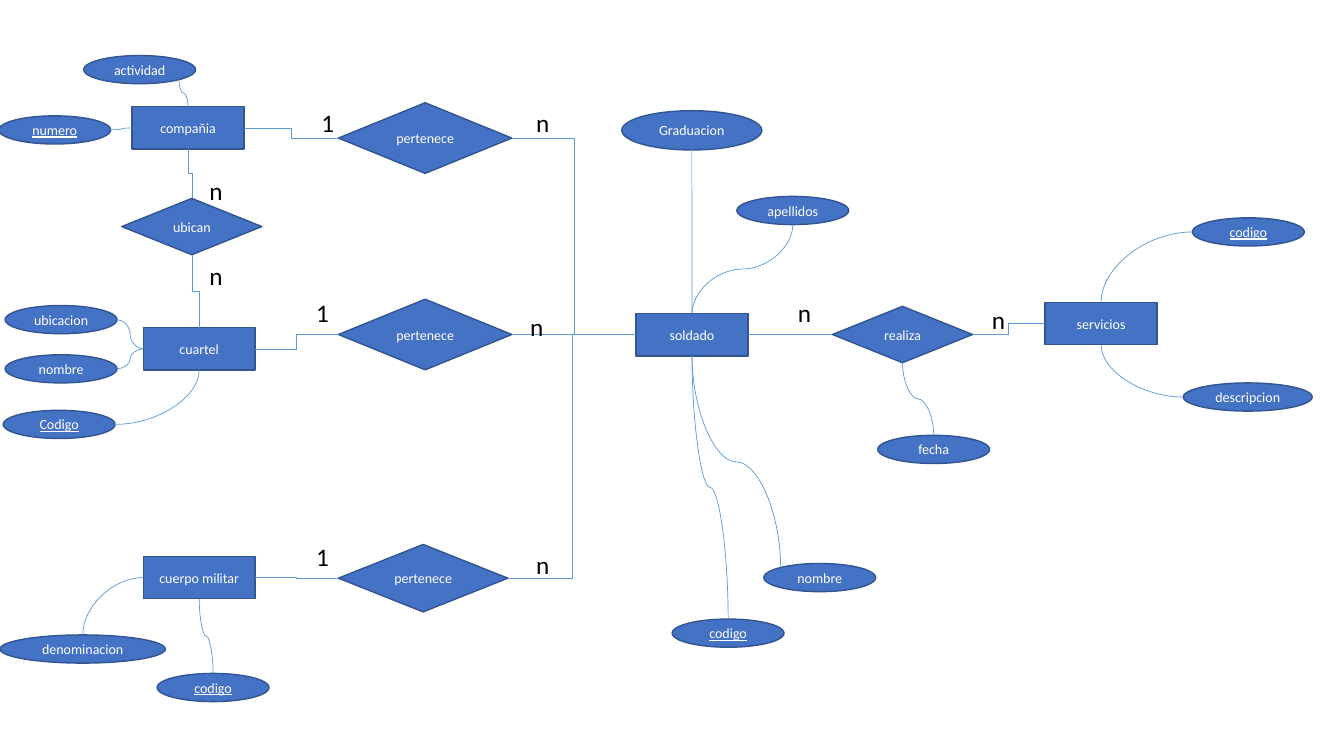
from pptx import Presentation
from pptx.dml.color import RGBColor
from pptx.enum.shapes import MSO_CONNECTOR, MSO_SHAPE
from pptx.enum.text import MSO_ANCHOR, PP_ALIGN
from pptx.oxml.ns import qn
from pptx.util import Cm, Pt
from lxml.etree import SubElement

COLORS = {"fill": "4472C4", "border": "325491", "link": "5B9BD5", "light": "FFFFFF", "dark": "000000"}
SITES = {
    "top": (0.5, 0), "top left": (0.15, 0.15), "left": (0, 0.5), "bottom left": (0.15, 0.85),
    "bottom": (0.5, 1), "bottom right": (0.85, 0.85), "right": (1, 0.5), "top right": (0.85, 0.15),
}
SIDES = ("left", "right")
BOX = (2.82, 1.07)
OVAL = (2.82, 0.71)
SMALL = (3.53, 1.42)
LARGE = (4.37, 1.78)


class Diagram:
    """Draws the entities, relations, attributes and links of one slide."""

    def __init__(self, slide):
        self.slide = slide
        self.font = "Calibri"

    def color(self, name):
        return RGBColor.from_string(COLORS[name])

    def set_text(self, tf, text, size, color, underline=None):
        tf.text = text
        tf.word_wrap = True
        for r in tf.paragraphs[0].runs:
            r.font.name = self.font
            r.font.size = Pt(size)
            r.font.underline = underline
            r.font.color.rgb = self.color(color)

    def node(self, kind, text, left, top, size, key=False):
        sp = self.slide.shapes.add_shape(kind, Cm(left), Cm(top), Cm(size[0]), Cm(size[1]))
        sp.shadow.inherit = False
        sp.fill.solid()
        sp.fill.fore_color.rgb = self.color("fill")
        sp.line.color.rgb = self.color("border")
        sp.line.width = Pt(1)
        self.set_text(sp.text_frame, text, 10, "light", key or None)
        sp.text_frame.vertical_anchor = MSO_ANCHOR.MIDDLE
        sp.text_frame.paragraphs[0].alignment = PP_ALIGN.CENTER
        return sp

    def entity(self, text, left, top):
        return self.node(MSO_SHAPE.RECTANGLE, text, left, top, BOX)

    def relation(self, text, left, top, size):
        return self.node(MSO_SHAPE.DIAMOND, text, left, top, size)

    def attribute(self, text, left, top, site, owner, owner_site, key=False, size=OVAL):
        sp = self.node(MSO_SHAPE.OVAL, text, left, top, size, key)
        self.link(sp, site, owner, owner_site)
        return sp

    def label(self, text, left, top, width):
        tb = self.slide.shapes.add_textbox(Cm(left), Cm(top), Cm(width), Cm(1.02))
        self.set_text(tb.text_frame, text, 18, "dark")

    def point(self, sp, site):
        fx, fy = SITES[site]
        return sp.left + fx * sp.width, sp.top + fy * sp.height

    def site_index(self, sp, site):
        index = list(SITES).index(site)
        return index if sp.auto_shape_type == MSO_SHAPE.OVAL else index // 2

    def link(self, start, start_site, end, end_site):
        curved = start.auto_shape_type == MSO_SHAPE.OVAL
        kind = MSO_CONNECTOR.CURVE if curved else MSO_CONNECTOR.ELBOW
        x1, y1 = self.point(start, start_site)
        x2, y2 = self.point(end, end_site)
        dx, dy = x2 - x1, y2 - y1
        sideways = start_site in SIDES
        cxn = self.slide.shapes.add_connector(kind, 0, 0, 0, 0)
        cxn.begin_connect(start, 0)
        cxn.end_connect(end, 0)
        ends = cxn._element.nvCxnSpPr.cNvCxnSpPr
        ends.stCxn.idx = self.site_index(start, start_site)
        ends.endCxn.idx = self.site_index(end, end_site)

        rotation = 0 if sideways else 270 if dx * dy > 0 else 90
        flip_h, flip_v = {
            0: (dx < 0, dy < 0),
            90: (dy < 0, dx > 0),
            270: (dy > 0, dx < 0),
        }[rotation]
        width, height = (abs(dx), abs(dy)) if sideways else (abs(dy), abs(dx))
        cxn.left, cxn.top = int((x1 + x2 - width) / 2), int((y1 + y2 - height) / 2)
        cxn.width, cxn.height = int(width), int(height)
        sp_pr = cxn._element.spPr
        xfrm = sp_pr.find(qn("a:xfrm"))
        xfrm.set("rot", str(rotation * 60000))
        xfrm.set("flipH", str(int(flip_h)))
        xfrm.set("flipV", str(int(flip_v)))
        if sideways != (end_site in SIDES):
            sp_pr.find(qn("a:prstGeom")).set("prst", "curvedConnector2")
        cxn.line.color.rgb = self.color("link")
        cxn.line.width = Pt(0.5)
        SubElement(sp_pr, qn("a:effectLst"))


def main():
    prs = Presentation()
    prs.slide_width, prs.slide_height = Cm(33.87), Cm(19.05)
    d = Diagram(prs.slides.add_slide(prs.slide_layouts[6]))

    soldado = d.entity("soldado", 16.03, 7.9)
    servicios = d.entity("servicios", 26.34, 7.62)
    cuartel = d.entity("cuartel", 3.61, 8.26)
    compania = d.entity("compañia", 3.33, 2.69)
    cuerpo = d.entity("cuerpo militar", 3.61, 14.02)

    realiza = d.relation("realiza", 20.98, 7.72, SMALL)
    ubican = d.relation("ubican", 3.07, 5, SMALL)
    d.link(servicios, "left", realiza, "right")
    d.link(realiza, "left", soldado, "right")
    d.link(compania, "bottom", ubican, "top")
    d.link(cuartel, "top", ubican, "bottom")
    for owner, top, size in ((compania, 2.59, LARGE), (cuartel, 7.54, LARGE), (cuerpo, 13.72, (4.27, 1.7))):
        pertenece = d.relation("pertenece", 8.53, top, size)
        d.link(pertenece, "left", owner, "right")
        d.link(soldado, "left", pertenece, "right")

    d.attribute("Graduacion", 15.67, 2.79, "bottom", soldado, "top", size=(3.53, 0.99))
    d.attribute("apellidos", 18.57, 4.95, "bottom", soldado, "top")
    d.attribute("nombre", 19.25, 14.2, "top left", soldado, "bottom")
    d.attribute("codigo", 16.94, 15.6, "top", soldado, "bottom", key=True)
    d.attribute("codigo", 30.05, 5.49, "left", servicios, "top", key=True)
    d.attribute("descripcion", 29.82, 9.65, "left", servicios, "bottom", size=(3.25, 0.71))
    d.attribute("fecha", 22.12, 10.97, "top", realiza, "bottom")
    d.attribute("actividad", 2.11, 1.4, "bottom right", compania, "top")
    d.attribute("numero", -0.03, 2.92, "right", compania, "left", key=True)
    d.attribute("ubicacion", 0.13, 7.7, "right", cuartel, "left")
    d.attribute("nombre", 0.13, 8.94, "right", cuartel, "left")
    d.attribute("Codigo", 0.08, 10.34, "right", cuartel, "bottom", key=True)
    d.attribute("denominacion", 0, 16, "top", cuerpo, "left", size=(4.17, 0.71))
    d.attribute("codigo", 3.96, 16.97, "top", cuerpo, "bottom", key=True)

    for text, left, top, width in (
        ("1", 7.85, 2.59, 0.71), ("1", 7.72, 7.37, 0.71), ("1", 7.72, 13.51, 0.71),
        ("n", 13.26, 2.59, 1.57), ("n", 13.11, 7.72, 1.12), ("n", 13.26, 13.72, 0.94),
        ("n", 5.03, 4.29, 0.69), ("n", 5.03, 6.43, 0.69),
        ("n", 19.86, 7.37, 0.84), ("n", 24.77, 7.54, 0.48),
    ):
        d.label(text, left, top, width)

    prs.save("out.pptx")


if __name__ == "__main__":
    main()
